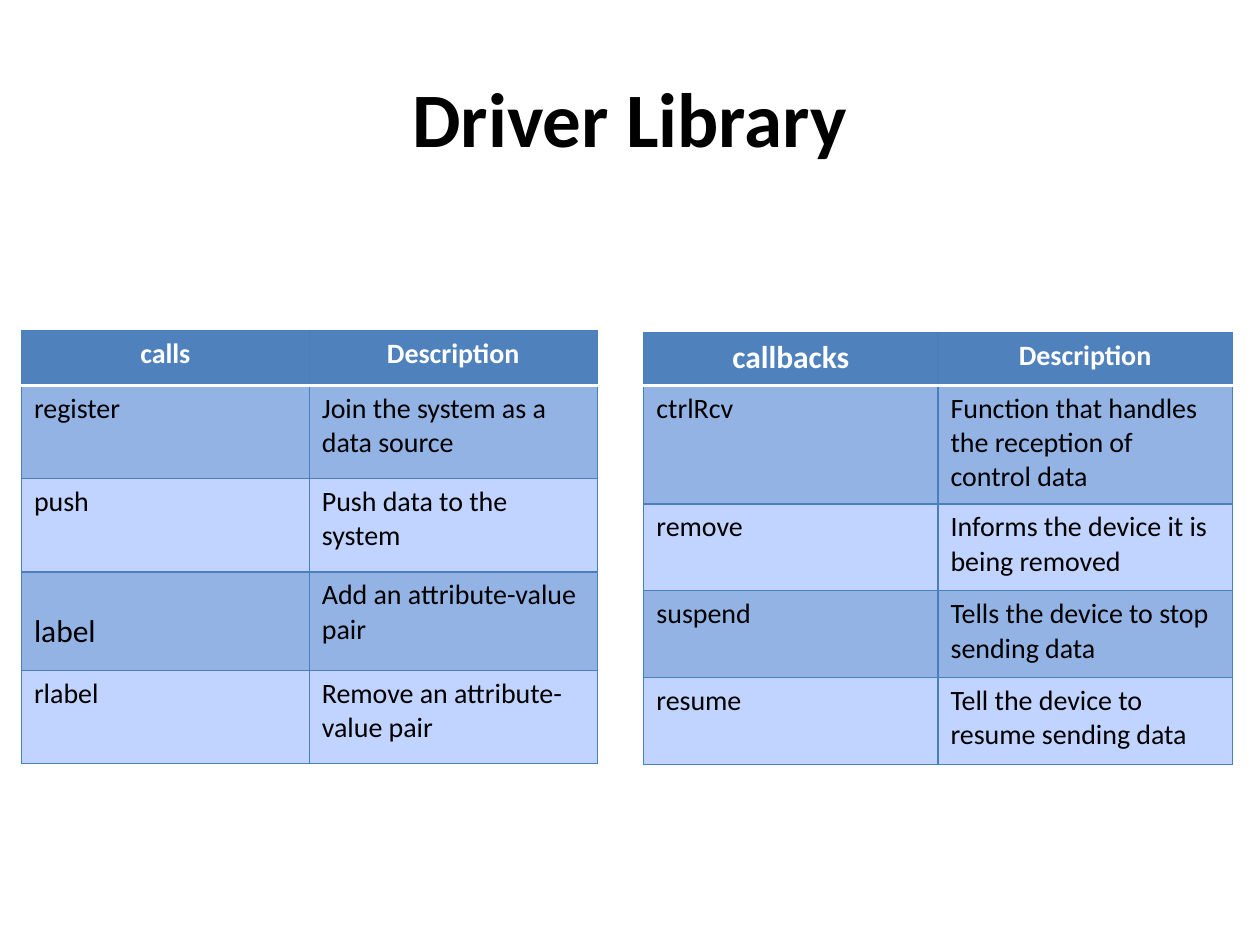
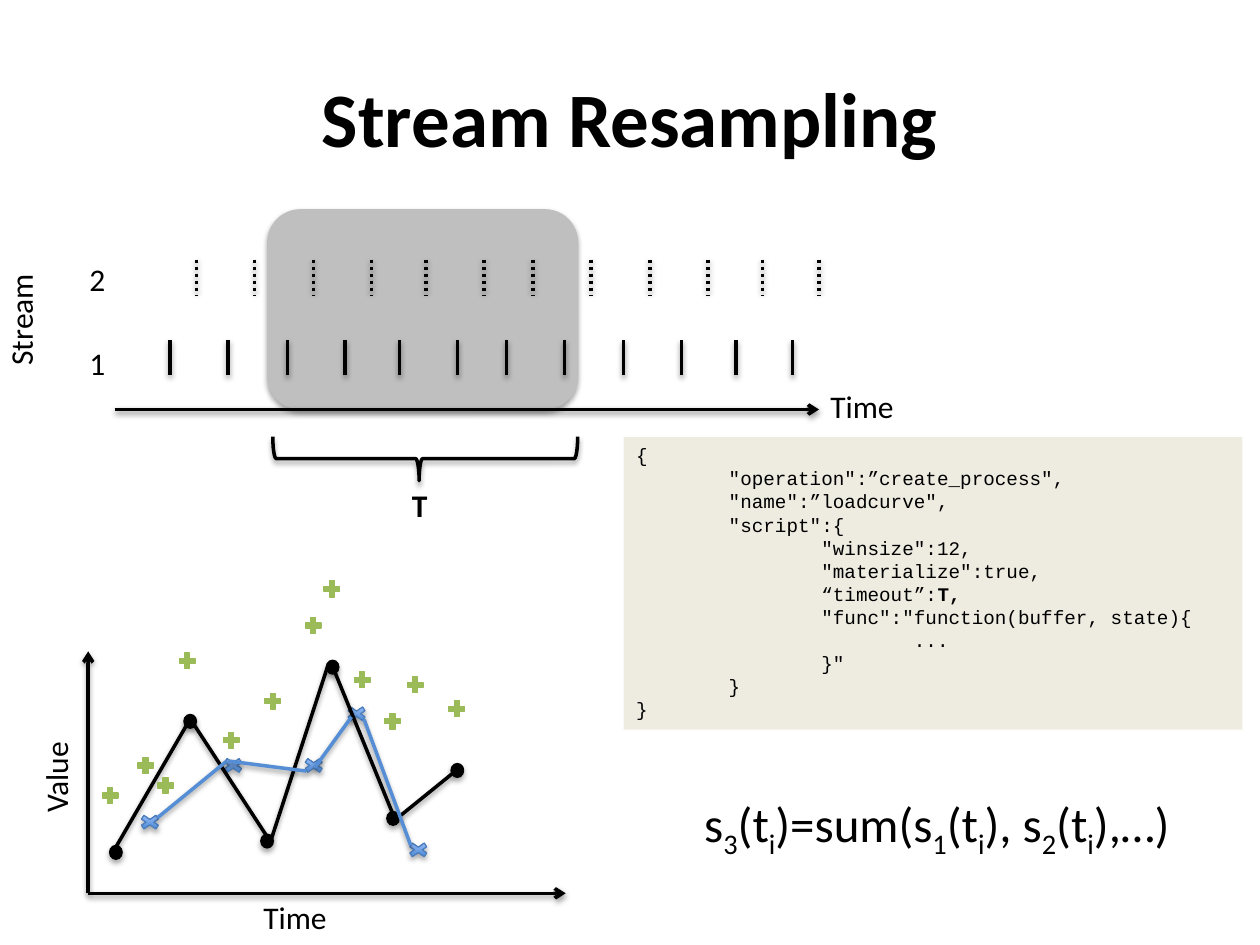
from dataclasses import dataclass
from typing import Any, NamedTuple, Optional

from lxml.etree import SubElement
from pptx import Presentation
from pptx.dml.color import RGBColor
from pptx.enum.dml import MSO_LINE
from pptx.enum.shapes import MSO_CONNECTOR, MSO_SHAPE
from pptx.enum.text import MSO_ANCHOR, MSO_AUTO_SIZE, PP_ALIGN
from pptx.oxml.ns import qn
from pptx.util import Inches, Pt


@dataclass(frozen=True)
class Theme:
    black: str = "000000"
    white: str = "FFFFFF"
    header: str = "4F81BD"
    border: str = "4B7EBC"
    bands: tuple[str, str] = ("93B3E5", "C0D4FF")
    window: str = "BFBFBF"
    paper: str = "EEECE1"
    blue_line: str = "558ED5"
    blue_gradient: tuple[str, str] = ("3F80CE", "A4C4FF")
    green: str = "9BBB59"
    font: str = "Calibri"
    code_font: str = "Courier New"
    title_size: float = 44
    formula_size: float = 28
    label_size: float = 18
    cell_size: float = 16
    code_size: float = 11
    code_leading: float = 13.2
    thick: float = 2
    thin: float = 0.75


THEME = Theme()


class Shadow(NamedTuple):
    opacity: int
    blur: float
    distance: float


LINE_SHADOW = Shadow(38, 3.1, 1.6)
SHAPE_SHADOW = Shadow(35, 3.1, 1.8)


class Box(NamedTuple):
    left: float
    top: float
    width: float
    height: float

    def lengths(self) -> list[int]:
        return [Inches(value) for value in self]


class Segment(NamedTuple):
    x1: float
    y1: float
    x2: float
    y2: float


class Label(NamedTuple):
    text: str
    box: Box
    rotation: int = 0
    bold: bool = False
    inset: tuple[float, float] = (0.08, 0.04)


@dataclass(frozen=True)
class Grid:
    box: Box
    row_heights: tuple[float, ...]
    rows: tuple[tuple[str, str], ...]
    large: str
    lowered: str = ""


@dataclass(frozen=True)
class Markers:
    shape: MSO_SHAPE
    width: float
    height: float
    fill: Any
    line: str
    corners: tuple[tuple[float, float], ...]
    shadow: Optional[Shadow] = SHAPE_SHADOW


GRIDS = (
    Grid(Box(0.17, 2.62, 4.57, 3.44), (0.44, 0.74, 0.74, 0.78, 0.74), (
        ("calls", "Description"),
        ("register", "Join the system as a data source"),
        ("push", "Push data to the system"),
        ("label", "Add an attribute-value pair"),
        ("rlabel", "Remove an attribute-value pair"),
    ), large="label", lowered="label"),
    Grid(Box(5.11, 2.64, 4.67, 3.42), (0.42, 0.94, 0.69, 0.69, 0.69), (
        ("callbacks", "Description"),
        ("ctrlRcv", "Function that handles the reception of control data"),
        ("remove", "Informs the device it is being removed"),
        ("suspend", "Tells the device to stop sending data"),
        ("resume", "Tell the device to resume sending data"),
    ), large="callbacks"),
)

TICKS = (1.35, 1.81, 2.28, 2.74, 3.17, 3.63, 4.02, 4.48, 4.95, 5.41, 5.84, 6.29)
STREAM_SHIFT = 0.21

LABELS = (
    Label("1", Box(0.63, 2.69, 0.29, 0.38)),
    Label("2", Box(0.63, 2.02, 0.29, 0.38)),
    Label("Time", Box(6.51, 3.03, 0.67, 0.38)),
    Label("Stream", Box(-0.29, 2.34, 0.9, 0.38), rotation=270),
    Label("T", Box(3.17, 3.81, 0.33, 0.4), bold=True, inset=(0.1, 0.05)),
    Label("Time", Box(2.01, 7.09, 0.67, 0.38)),
    Label("Value", Box(0.07, 5.97, 0.74, 0.38), rotation=270),
)

AXES = (
    Segment(0.91, 3.25, 6.5, 3.25),
    Segment(0.7, 7.09, 4.49, 7.09),
    Segment(0.7, 7.09, 0.7, 5.17),
)

CODE = '''{
        "operation":”create_process",
        "name":”loadcurve",
        "script":{
                "winsize":12,
                "materialize":true,
                “timeout”:*T,*
                "func":"function(buffer, state){
                        ...
                }"
        }
}'''

# Odd pieces are subscripts.
FORMULA = "s|3|(t|i|)=sum(s|1|(t|i|), s|2|(t|i|),…)"

CROSSES = Markers(
    MSO_SHAPE.MATH_MULTIPLY, 0.22, 0.15, THEME.blue_gradient, THEME.border,
    ((1.08, 6.45), (1.74, 6), (2.38, 6), (2.72, 5.59), (3.21, 6.67)))
DOTS = Markers(
    MSO_SHAPE.OVAL, 0.1, 0.11, THEME.black, THEME.black,
    ((0.87, 6.71), (3.07, 6.44), (2.07, 6.62), (2.59, 5.24), (3.58, 6.06), (1.46, 5.67)))
PLUSES = Markers(
    MSO_SHAPE.MATH_PLUS, 0.17, 0.17, THEME.green, THEME.green,
    ((1.07, 5.99), (1.4, 5.16), (1.75, 5.79), (2.08, 5.48), (2.4, 4.88), (2.55, 4.59),
     (2.79, 5.31), (3.03, 5.64), (1.23, 6.15), (3.21, 5.35), (3.54, 5.54), (0.79, 6.23)),
    shadow=None)

CURVES = {
    THEME.black: (
        Segment(1.49, 5.74, 0.91, 6.74), Segment(2.12, 6.64, 1.5, 5.69),
        Segment(2.15, 6.67, 2.6, 5.29), Segment(3.13, 6.49, 2.64, 5.29),
        Segment(3.17, 6.48, 3.59, 6.14)),
    THEME.blue_line: (
        Segment(1.8, 6.04, 1.25, 6.49), Segment(2.43, 6.12, 1.81, 6.04),
        Segment(3.26, 6.71, 2.89, 5.71), Segment(2.79, 5.69, 2.5, 6.09)),
}


def rgb(color: str) -> RGBColor:
    return RGBColor.from_string(color)


def apply(target: Any, formats: dict[str, Any]) -> None:
    for name, value in formats.items():
        setattr(target, name, value)


def style_font(font: Any, size: float, color: str = THEME.black,
               bold: bool = False, name: str = THEME.font) -> None:
    apply(font, {"name": name, "size": Pt(size), "bold": bold})
    font.color.rgb = rgb(color)


def set_effects(shape: Any, shadow: Optional[Shadow]) -> None:
    """Replace the theme's effects by the given shadow, or by none."""
    effects = SubElement(shape._element.spPr, qn("a:effectLst"))
    if shadow:
        outer = SubElement(effects, qn("a:outerShdw"), blurRad=str(Pt(shadow.blur)),
                           dist=str(Pt(shadow.distance)), dir="5400000", rotWithShape="0")
        tone = SubElement(outer, qn("a:srgbClr"), val=THEME.black)
        SubElement(tone, qn("a:alpha"), val=str(shadow.opacity * 1000))


def add_page(deck: Any, title: str) -> Any:
    page = deck.slides.add_slide(deck.slide_layouts[5])
    heading = page.shapes.title
    apply(heading, dict(zip(("left", "top", "width", "height"),
                            Box(0.5, 0.3, 9, 1.25).lengths())))
    heading.text_frame.text = title
    heading.text_frame.vertical_anchor = MSO_ANCHOR.MIDDLE
    para = heading.text_frame.paragraphs[0]
    para.alignment = PP_ALIGN.CENTER
    style_font(para.runs[0].font, THEME.title_size, bold=True)
    return page


def set_border(cell: Any, side: str, color: str, width: float) -> None:
    edge = SubElement(cell._tc.get_or_add_tcPr(), qn(f"a:ln{side}"), w=str(Pt(width)))
    SubElement(SubElement(edge, qn("a:solidFill")), qn("a:srgbClr"), val=color)


def add_grid(page: Any, grid: Grid) -> None:
    table = page.shapes.add_table(len(grid.rows), 2, *grid.box.lengths()).table
    for column in table.columns:
        column.width = Inches(grid.box.width / 2)
    for index, (texts, height) in enumerate(zip(grid.rows, grid.row_heights)):
        table.rows[index].height = Inches(height)
        is_header = index == 0
        for column, text in enumerate(texts):
            cell = table.cell(index, column)
            white_side = {0: "B", 1: "T"}.get(index)
            for side in "LRTB":
                edge = ((THEME.white, THEME.thick) if side == white_side
                        else (THEME.border, THEME.thin))
                set_border(cell, side, *edge)
            cell.fill.solid()
            cell.fill.fore_color.rgb = rgb(THEME.header if is_header
                                           else THEME.bands[(index - 1) % 2])
            if text == grid.lowered:
                cell.margin_top = Inches(0.32)
            cell.text = text
            para = cell.text_frame.paragraphs[0]
            para.alignment = PP_ALIGN.CENTER if is_header else PP_ALIGN.LEFT
            style_font(para.runs[0].font,
                       THEME.label_size if text == grid.large else THEME.cell_size,
                       THEME.white if is_header else THEME.black, is_header)


def add_line(page: Any, segment: Segment, color: str = THEME.black,
             dotted: bool = False, arrow: bool = False) -> None:
    connector = page.shapes.add_connector(
        MSO_CONNECTOR.STRAIGHT, *(Inches(value) for value in segment))
    connector.line.color.rgb = rgb(color)
    connector.line.width = Pt(THEME.thick)
    if dotted:
        connector.line.dash_style = MSO_LINE.ROUND_DOT
    if arrow:
        SubElement(connector.line._get_or_add_ln(), qn("a:tailEnd"), type="arrow")
    set_effects(connector, LINE_SHADOW)


def add_figure(page: Any, kind: MSO_SHAPE, box: Box, fill: Any = None,
               line: Optional[str] = None, width: float = THEME.thin,
               shadow: Optional[Shadow] = None) -> Any:
    """Draw a preset shape; a pair of fill colours makes a gradient."""
    shape = page.shapes.add_shape(kind, *box.lengths())
    if isinstance(fill, tuple):
        shape.fill.gradient()
        shape.fill.gradient_angle = 90
        for stop, color, position in zip(shape.fill.gradient_stops, fill, (0, 1)):
            stop.color.rgb = rgb(color)
            stop.position = position
    elif fill:
        shape.fill.solid()
        shape.fill.fore_color.rgb = rgb(fill)
    else:
        shape.fill.background()
    if line:
        shape.line.color.rgb = rgb(line)
        shape.line.width = Pt(width)
    else:
        shape.line.fill.background()
    set_effects(shape, shadow)
    return shape


def add_markers(page: Any, markers: Markers) -> None:
    for left, top in markers.corners:
        add_figure(page, markers.shape, Box(left, top, markers.width, markers.height),
                   markers.fill, markers.line, shadow=markers.shadow)


def add_label(page: Any, label: Label, size: float = THEME.label_size) -> None:
    """Write one line of text, with subscripts between bars."""
    shape = page.shapes.add_textbox(*label.box.lengths())
    shape.rotation = label.rotation
    across, down = (Inches(value) for value in label.inset)
    apply(shape.text_frame, {
        "margin_left": across, "margin_right": across, "margin_top": down,
        "margin_bottom": down, "word_wrap": False,
        "auto_size": MSO_AUTO_SIZE.SHAPE_TO_FIT_TEXT})
    for index, piece in enumerate(label.text.split("|")):
        span = shape.text_frame.paragraphs[0].add_run()
        span.text = piece
        style_font(span.font, size, bold=label.bold)
        if index % 2:
            span._r.get_or_add_rPr().set("baseline", "-25000")


def add_code(page: Any, box: Box) -> None:
    """Write the listing, with bold text between asterisks."""
    frame = add_figure(page, MSO_SHAPE.RECTANGLE, box, THEME.paper).text_frame
    apply(frame, {"word_wrap": True, "vertical_anchor": MSO_ANCHOR.TOP})
    for number, code_line in enumerate(CODE.splitlines()):
        para = frame.add_paragraph() if number else frame.paragraphs[0]
        apply(para, {"alignment": PP_ALIGN.LEFT, "line_spacing": Pt(THEME.code_leading)})
        for index, piece in enumerate(code_line.split("*")):
            if piece:
                span = para.add_run()
                span.text = piece
                style_font(span.font, THEME.code_size, bold=index % 2 == 1,
                           name=THEME.code_font)


def build_resampling(page: Any) -> None:
    add_figure(page, MSO_SHAPE.ROUNDED_RECTANGLE, Box(2.12, 1.66, 2.47, 1.59),
               THEME.window, shadow=SHAPE_SHADOW)
    for shift, top, dotted in ((0, 2.7, False), (STREAM_SHIFT, 2.06, True)):
        for tick in TICKS:
            x = tick + shift
            add_line(page, Segment(x, top, x, top + 0.28), dotted=dotted)
    for axis in AXES:
        add_line(page, axis, arrow=True)
    brace = add_figure(page, MSO_SHAPE.LEFT_BRACE, Box(3.2, 2.43, 0.35, 2.42),
                       line=THEME.black, width=THEME.thick, shadow=SHAPE_SHADOW)
    brace.rotation = 270
    brace.adjustments[0], brace.adjustments[1] = 0.08, 0.48
    for label in LABELS:
        add_label(page, label)
    add_code(page, Box(4.95, 3.47, 4.91, 2.32))
    add_markers(page, CROSSES)
    add_markers(page, DOTS)
    for color, segments in CURVES.items():
        for segment in segments:
            add_line(page, segment, color)
    add_markers(page, PLUSES)
    add_label(page, Label(FORMULA, Box(5.49, 6.25, 4.01, 0.57), inset=(0.1, 0.05)),
              THEME.formula_size)


def main() -> None:
    deck = Presentation()
    apply(deck, {"slide_width": Inches(10), "slide_height": Inches(7.5)})
    library = add_page(deck, "Driver Library")
    for grid in GRIDS:
        add_grid(library, grid)
    build_resampling(add_page(deck, "Stream Resampling"))
    deck.save("out.pptx")


if __name__ == "__main__":
    main()
